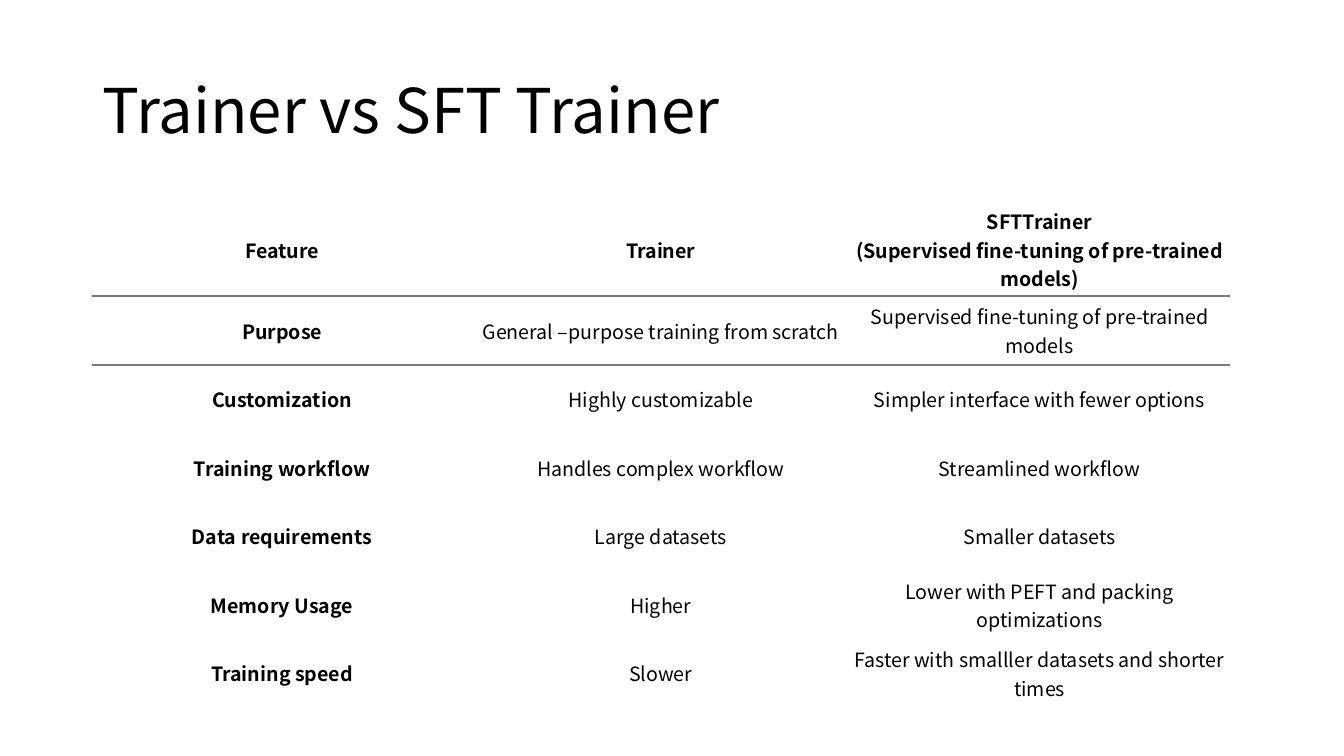
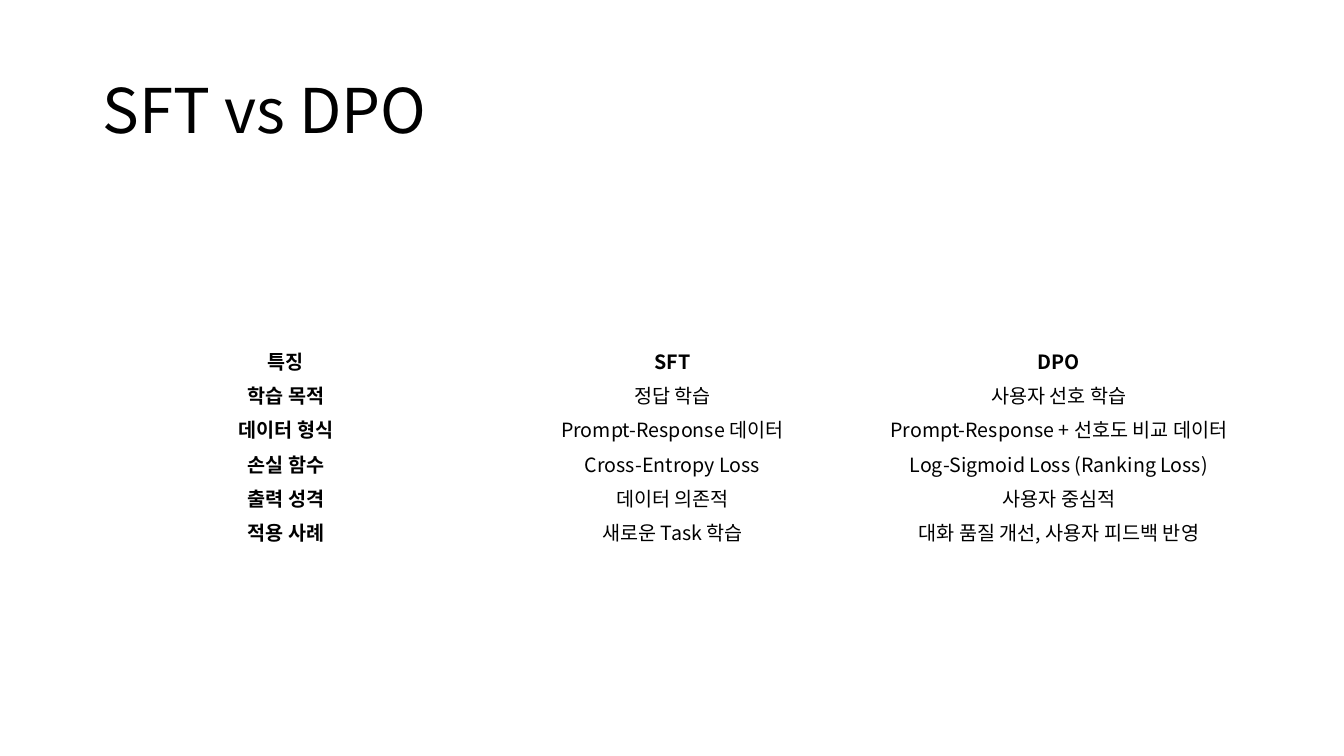
"""Build two slides that compare training methods in tables."""
from copy import deepcopy

from lxml.etree import SubElement
from pptx import Presentation
from pptx.dml.color import RGBColor
from pptx.enum.text import MSO_ANCHOR, PP_ALIGN
from pptx.oxml.ns import qn
from pptx.util import Inches, Pt

TRAINERS = [
    ("Feature", "Trainer", "SFTTrainer\v(Supervised fine-tuning of pre-trained models)"),
    ("Purpose", "General –purpose training from scratch",
     "Supervised fine-tuning of pre-trained models"),
    ("Customization", "Highly customizable", "Simpler interface with fewer options"),
    ("Training workflow", "Handles complex workflow", "Streamlined workflow"),
    ("Data requirements", "Large datasets", "Smaller datasets"),
    ("Memory Usage", "Higher", "Lower with PEFT and packing optimizations"),
    ("Training speed", "Slower", "Faster with smalller datasets and shorter times"),
]
METHODS = [
    ("특징", "SFT", "DPO"),
    ("학습 목적", "정답 학습", "사용자 선호 학습"),
    ("데이터 형식", "Prompt-Response 데이터", "Prompt-Response + 선호도 비교 데이터"),
    ("손실 함수", "Cross-Entropy Loss", "Log-Sigmoid Loss (Ranking Loss)"),
    ("출력 성격", "데이터 의존적", "사용자 중심적"),
    ("적용 사례", "새로운 Task 학습", "대화 품질 개선, 사용자 피드백 반영"),
]


def color(code):
    """Turn a hex string into a colour."""
    return RGBColor.from_string(code)


def write(frame, text, size=14, bold=False, align=PP_ALIGN.CENTER, space=None):
    """Put formatted text into a frame."""
    frame.text = text
    para = frame.paragraphs[0]
    para.alignment = align
    para.line_spacing = space
    for run in para.runs:
        font = run.font
        font.size, font.bold, font.name = Pt(size), bold, Deck.FONT
        font.color.rgb = color(Deck.INK)
        props = run._r.get_or_add_rPr()
        SubElement(props, qn("a:ea"), typeface=Deck.FONT)
        for line in para._p.findall(qn("a:br")):
            if not len(line):
                line.append(deepcopy(props))


class Deck:
    """Hold the shared style and the current slide."""

    FONT = "Noto Sans CJK KR"
    INK = "000000"
    RULE = "797979"
    LEFT = 0.92

    def __init__(self):
        """Start a wide deck."""
        self.show = Presentation()
        self.show.slide_width, self.show.slide_height = Inches(13.33), Inches(7.5)
        self.slide = None

    def page(self, title):
        """Add a slide with its title."""
        self.slide = self.show.slides.add_slide(self.show.slide_layouts[5])
        box = self.slide.shapes.title
        box.left, box.top = Inches(self.LEFT), Inches(0.4)
        box.width, box.height = Inches(11.5), Inches(1.45)
        frame = box.text_frame
        frame.vertical_anchor = MSO_ANCHOR.MIDDLE
        write(frame, title, size=44, align=PP_ALIGN.LEFT, space=0.9)

    def edge(self, cell, side):
        """Draw a rule on one side of a cell."""
        line = SubElement(cell._tc.get_or_add_tcPr(), qn("a:" + side), w=str(Pt(1.5)))
        fill = SubElement(line, qn("a:solidFill"))
        SubElement(fill, qn("a:srgbClr"), val=self.RULE)

    def table(self, rows, top, width, high, head, pad, rule=False):
        """Add a plain table with bold first row and column."""
        count = len(rows[0])
        tall = head + high * (len(rows) - 1)
        grid = self.slide.shapes.add_table(
            len(rows), count, Inches(self.LEFT), Inches(top),
            Inches(width), Inches(tall)).table
        grid.first_row = grid.horz_banding = False
        for col in grid.columns:
            col.width = Inches(width / count)
        for i, row in enumerate(rows):
            grid.rows[i].height = Inches(high if i else head)
            for j, text in enumerate(row):
                cell = grid.cell(i, j)
                cell.margin_left = cell.margin_right = Inches(pad[0])
                cell.margin_top = cell.margin_bottom = Inches(pad[1])
                cell.vertical_anchor = MSO_ANCHOR.MIDDLE
                if rule and i < 2:
                    self.edge(cell, "lnT" if i else "lnB")
                cell.fill.background()
                write(cell.text_frame, text, bold=i == 0 or j == 0)


def main():
    """Build and save the deck."""
    deck = Deck()
    deck.page("Trainer vs SFT Trainer")
    deck.table(TRAINERS, top=2.01, width=11.27, high=0.68, head=0.7,
               pad=(0.04, 0.04), rule=True)
    deck.page("SFT vs DPO")
    deck.table(METHODS, top=3.41, width=11.5, high=0.34, head=0.34,
               pad=(0.05, 0.02))
    deck.show.save("out.pptx")


if __name__ == "__main__":
    main()
